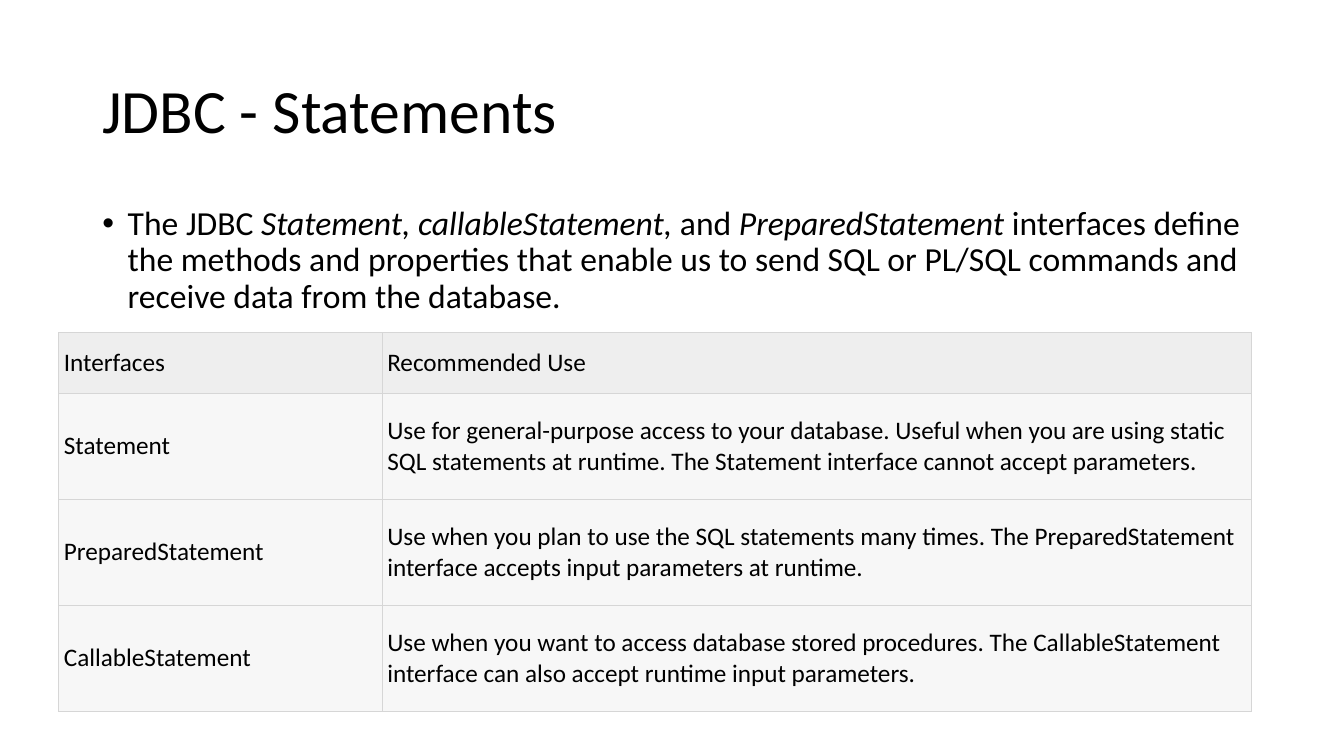
from lxml import etree
from pptx import Presentation
from pptx.dml.color import RGBColor
from pptx.enum.text import MSO_ANCHOR
from pptx.oxml.ns import qn
from pptx.util import Cm, Pt

MIDDLE = MSO_ANCHOR.MIDDLE
TOP = MSO_ANCHOR.TOP

BLACK = RGBColor(0x00, 0x00, 0x00)
HEADER_GREY = RGBColor(0xEE, 0xEE, 0xEE)
BODY_GREY = RGBColor(0xF7, 0xF7, 0xF7)
BORDER_GREY = RGBColor(0xD6, 0xD6, 0xD6)

FONT = "Calibri"
BLANK_LAYOUT = 6

INTRODUCTION = [
    ("The JDBC ", False),
    ("Statement, callableStatement,", True),
    (" and ", False),
    ("PreparedStatement", True),
    (" interfaces define the methods and properties that enable us to send "
     "SQL or PL/SQL commands and receive data from the database.", False),
]

INTERFACES = [
    ("Interfaces", "Recommended Use"),
    ("Statement",
     "Use for general-purpose access to your database. Useful when you are "
     "using static SQL statements at runtime. The Statement interface cannot "
     "accept parameters."),
    ("PreparedStatement",
     "Use when you plan to use the SQL statements many times. The "
     "PreparedStatement interface accepts input parameters at runtime."),
    ("CallableStatement",
     "Use when you want to access database stored procedures. The "
     "CallableStatement interface can also accept runtime input parameters."),
]


def add_run(paragraph, text, size, italic=False):
    run = paragraph.add_run()
    run.text = text
    run.font.name = FONT
    run.font.size = Pt(size)
    run.font.bold = False
    run.font.italic = italic
    run.font.color.rgb = BLACK


def add_text_box(slide, left, top, width, height, anchor):
    """Add a wrapping text box and return its first paragraph."""
    frame = slide.shapes.add_textbox(left, top, width, height).text_frame
    frame.word_wrap = True
    frame.vertical_anchor = anchor
    paragraph = frame.paragraphs[0]
    paragraph.line_spacing = 0.9
    return paragraph


def add_title(slide, left, top, width, height):
    paragraph = add_text_box(slide, left, top, width, height, MIDDLE)
    add_run(paragraph, "JDBC - Statements", 44)


def add_introduction(slide, left, top, width, height):
    paragraph = add_text_box(slide, left, top, width, height, TOP)
    paragraph.space_before = Pt(10)
    set_bullet(paragraph, Cm(0.64))
    for text, italic in INTRODUCTION:
        add_run(paragraph, text, 24, italic)


def set_bullet(paragraph, indent):
    properties = paragraph._p.get_or_add_pPr()
    properties.set("marL", str(indent))
    properties.set("indent", str(-indent))
    etree.SubElement(properties, qn("a:buFont"), typeface="Arial")
    etree.SubElement(properties, qn("a:buChar"), char="•")


def set_borders(cell):
    properties = cell._tc.get_or_add_tcPr()
    for side in ("a:lnL", "a:lnR", "a:lnT", "a:lnB"):
        line = etree.SubElement(properties, qn(side), w=str(Pt(0.75)))
        fill = etree.SubElement(line, qn("a:solidFill"))
        etree.SubElement(fill, qn("a:srgbClr"), val=str(BORDER_GREY))


def fill_cell(cell, text, color):
    cell.margin_left = cell.margin_right = Cm(0.13)
    cell.margin_top = cell.margin_bottom = Cm(0.13)
    cell.vertical_anchor = MIDDLE
    set_borders(cell)
    cell.fill.solid()
    cell.fill.fore_color.rgb = color
    add_run(cell.text_frame.paragraphs[0], text, 18)


def add_interface_table(slide, left, top, width, height):
    row_count = len(INTERFACES)
    table = slide.shapes.add_table(row_count, 2, left, top, width, height).table
    table.first_row = False
    table.horz_banding = False

    name_width = Cm(8.15)
    table.columns[0].width = name_width
    table.columns[1].width = width - name_width

    header_height = Cm(1.53)
    body_height = (height - header_height) // (row_count - 1)
    for row_index, texts in enumerate(INTERFACES):
        is_header = row_index == 0
        table.rows[row_index].height = header_height if is_header else body_height
        color = HEADER_GREY if is_header else BODY_GREY
        for column_index, text in enumerate(texts):
            fill_cell(table.cell(row_index, column_index), text, color)


def main():
    presentation = Presentation()
    presentation.slide_width = Cm(33.87)
    presentation.slide_height = Cm(19.05)
    slide = presentation.slides.add_slide(presentation.slide_layouts[BLANK_LAYOUT])

    margin = Cm(2.33)
    content_width = presentation.slide_width - 2 * margin
    add_title(slide, margin, Cm(1.01), content_width, Cm(3.68))
    add_introduction(slide, margin, Cm(5.08), content_width, Cm(12.09))
    add_interface_table(slide, Cm(1.48), Cm(8.38), Cm(30.07), Cm(9.54))
    presentation.save("out.pptx")


if __name__ == "__main__":
    main()
